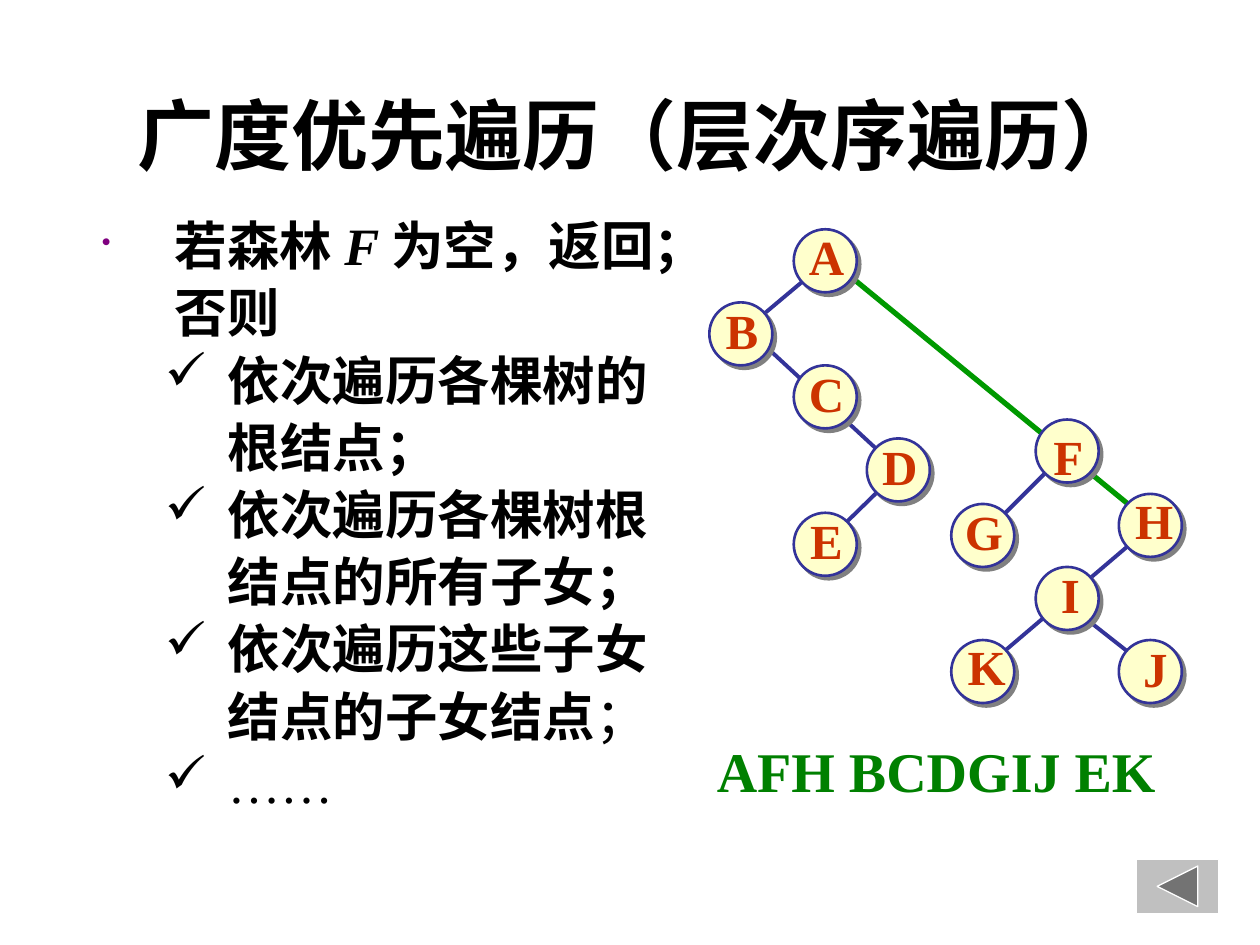
from lxml import etree
from pptx import Presentation
from pptx.dml.color import RGBColor
from pptx.enum.shapes import MSO_CONNECTOR, MSO_SHAPE
from pptx.enum.text import MSO_ANCHOR, MSO_AUTO_SIZE, PP_ALIGN
from pptx.oxml.ns import qn
from pptx.util import Inches, Pt

STRAIGHT = MSO_CONNECTOR.STRAIGHT
ELLIPSE = MSO_SHAPE.OVAL
BACK_BUTTON = MSO_SHAPE.ACTION_BUTTON_BACK_OR_PREVIOUS
CENTER, MIDDLE = PP_ALIGN.CENTER, MSO_ANCHOR.MIDDLE
FIT_SHAPE = MSO_AUTO_SIZE.SHAPE_TO_FIT_TEXT

BLACK = RGBColor(0x00, 0x00, 0x00)
WHITE = RGBColor(0xFF, 0xFF, 0xFF)
SILVER = RGBColor(0xC0, 0xC0, 0xC0)
GRAY = RGBColor(0x80, 0x80, 0x80)
NAVY = RGBColor(0x33, 0x33, 0x99)
CREAM = RGBColor(0xFF, 0xFF, 0xCC)
RED = RGBColor(0xCC, 0x33, 0x00)
GREEN = RGBColor(0x00, 0x80, 0x00)
LEAF = RGBColor(0x00, 0x99, 0x00)
PURPLE = RGBColor(0x80, 0x00, 0x80)

NODE_SIZE = 0.5
LABEL_HEIGHT = 0.57

# Node: name, left, top, then label width and label offset from the node
NODES = [
    ("A", 6.3, 1.82, 0.48, 0.02, -0.07),
    ("B", 5.63, 2.4, 0.46, 0.03, -0.07),
    ("C", 6.3, 2.9, 0.48, 0.02, -0.07),
    ("D", 6.88, 3.48, 0.48, 0.02, -0.07),
    ("E", 6.3, 4.07, 0.46, 0.03, -0.07),
    ("F", 8.22, 3.33, 0.44, 0.04, 0),
    ("G", 7.55, 4, 0.5, 0.01, -0.07),
    ("H", 8.88, 3.92, 0.5, 0.03, -0.08),
    ("I", 8.22, 4.5, 0.35, 0.1, -0.07),
    ("J", 8.88, 5.08, 0.4, 0.09, -0.06),
    ("K", 7.55, 5.08, 0.5, 0.03, -0.08),
]

# Branches that pass behind the nodes: start and end
BRANCHES = [
    ((7.05, 3.82), (6.63, 4.23)),
    ((5.97, 2.65), (7.05, 3.65)),
    ((6.47, 2.15), (5.97, 2.57)),
    ((8.63, 4.92), (9.05, 5.25)),
    ((9.05, 4.25), (7.97, 5.17)),
    ((8.38, 3.67), (7.88, 4.17)),
]

# Steps: first line, then the line that continues it
STEPS = [
    ("依次遍历各棵树的", "根结点；"),
    ("依次遍历各棵树根", "结点的所有子女；"),
    ("依次遍历这些子女", "结点的子女结点"),
]


class TreeSlide:
    serif = "Times New Roman"
    body_size = 30

    def __init__(self, deck):
        self.page = deck.slides.add_slide(deck.slide_layouts[5])
        self.shapes = self.page.shapes

    def set_font(self, para, size, color, name=serif):
        font = para.font
        font.name, font.size, font.bold = name, Pt(size), True
        font.color.rgb = color

    def title(self, text, left, top, width, height):
        box = self.shapes.title
        box.left, box.top = Inches(left), Inches(top)
        box.width, box.height = Inches(width), Inches(height)
        frame = box.text_frame
        frame.text = text
        frame.vertical_anchor = MIDDLE
        frame.paragraphs[0].alignment = CENTER
        self.set_font(frame.paragraphs[0], 44, BLACK, "Arial")

    def text_box(self, left, top, width, height):
        box = self.shapes.add_textbox(
            Inches(left), Inches(top), Inches(width), Inches(height))
        box.text_frame.word_wrap = True
        return box.text_frame

    def caption(self, text, left, top, width, height):
        frame = self.text_box(left, top, width, height)
        frame.auto_size = FIT_SHAPE
        frame.text = text
        self.set_font(frame.paragraphs[0], 32, GREEN)

    def line(self, start, end, color, width):
        link = self.shapes.add_connector(
            STRAIGHT, *(Inches(value) for value in (*start, *end)))
        link.line.color.rgb = color
        link.line.width = Pt(width)
        etree.SubElement(link._element.spPr, qn("a:effectLst"))

    def shape(self, kind, left, top, width, height, fill, outline, weight):
        shape = self.shapes.add_shape(
            kind, Inches(left), Inches(top), Inches(width), Inches(height))
        shape.shadow.inherit = False
        shape.fill.solid()
        shape.fill.fore_color.rgb = fill
        shape.line.color.rgb = outline
        shape.line.width = Pt(weight)
        return shape

    def node(self, name, left, top, label_width, shift_x, shift_y):
        circle = self.shape(ELLIPSE, left, top, NODE_SIZE, NODE_SIZE,
                            CREAM, NAVY, 1.5)
        effects = circle._element.spPr.find(qn("a:effectLst"))
        shadow = etree.SubElement(effects, qn("a:outerShdw"), dist=str(Pt(2.8)),
                                  dir="2700000", algn="ctr", rotWithShape="0")
        etree.SubElement(shadow, qn("a:srgbClr"), val=str(GRAY))
        frame = self.text_box(left + shift_x, top + shift_y,
                              label_width, LABEL_HEIGHT)
        frame.word_wrap = False
        frame.auto_size = FIT_SHAPE
        frame.vertical_anchor = MIDDLE
        frame.text = name
        frame.paragraphs[0].alignment = CENTER
        self.set_font(frame.paragraphs[0], 28, RED)

    def body_line(self, frame, spans, level, bullet=None, color=BLACK, scale=100):
        """Adds one line; each span is a text with its font changes."""
        first = frame.paragraphs[0]
        para = frame.add_paragraph() if first.runs else first
        para.level = level
        para.line_spacing = 0.9
        para.space_before = Pt(0.2 * self.body_size)
        self.set_font(para, self.body_size, BLACK)
        for text, changes in spans:
            span = para.add_run()
            span.text = text
            for key, value in changes.items():
                setattr(span.font, key, value)
        margin, hanging = ((0.58, 0.58), (1, 0.5))[level]
        props = para._p.get_or_add_pPr()
        props.set("marL", str(Inches(margin)))
        props.set("indent", str(Inches(-hanging if bullet else 0)))
        # Bullet elements come before the default run properties
        marks = []
        if bullet:
            tint = etree.Element(qn("a:buClr"))
            etree.SubElement(tint, qn("a:srgbClr"), val=str(color))
            size = etree.Element(qn("a:buSzPct"), val=str(scale * 1000))
            marks = [tint, size, etree.Element(qn("a:buChar"), char=bullet)]
        else:
            marks = [etree.Element(qn("a:buNone"))]
        defaults = props.find(qn("a:defRPr"))
        for mark in marks:
            defaults.addprevious(mark)


def main():
    deck = Presentation()
    deck.slide_width, deck.slide_height = Inches(10), Inches(7.5)
    slide = TreeSlide(deck)

    # Title, traversal result and back button
    slide.title("广度优先遍历（层次序遍历）", 0.57, 0.46, 9, 1.2)
    slide.caption("AFH BCDGIJ EK", 5.59, 5.8, 3.79, 0.63)
    slide.shape(BACK_BUTTON, 9.02, 6.82, 0.65, 0.43, SILVER, WHITE, 0)

    # Forest: the green line joins the roots A, F and H
    slide.line((6.72, 2.17), (9.05, 4.08), LEAF, 3)
    for start, end in BRANCHES:
        slide.line(start, end, NAVY, 2.25)
    for node in NODES:
        slide.node(*node)

    # Algorithm
    body = slide.text_box(0.71, 1.7, 5.38, 5.04)
    slide.body_line(body, [("若森林 ", {}), ("F ", {"italic": True}),
                           ("为空，返回；", {})], 0, "•", PURPLE, 50)
    slide.body_line(body, [("否则", {})], 0)
    for opening, ending in STEPS:
        slide.body_line(body, [(opening, {})], 1, "✓")
        spans = [(ending, {})]
        if not ending.endswith("；"):
            spans.append(("；", {"bold": False}))
        slide.body_line(body, spans, 1)
    slide.body_line(body, [("……", {"bold": False})], 1, "✓")

    deck.save("out.pptx")


if __name__ == "__main__":
    main()
